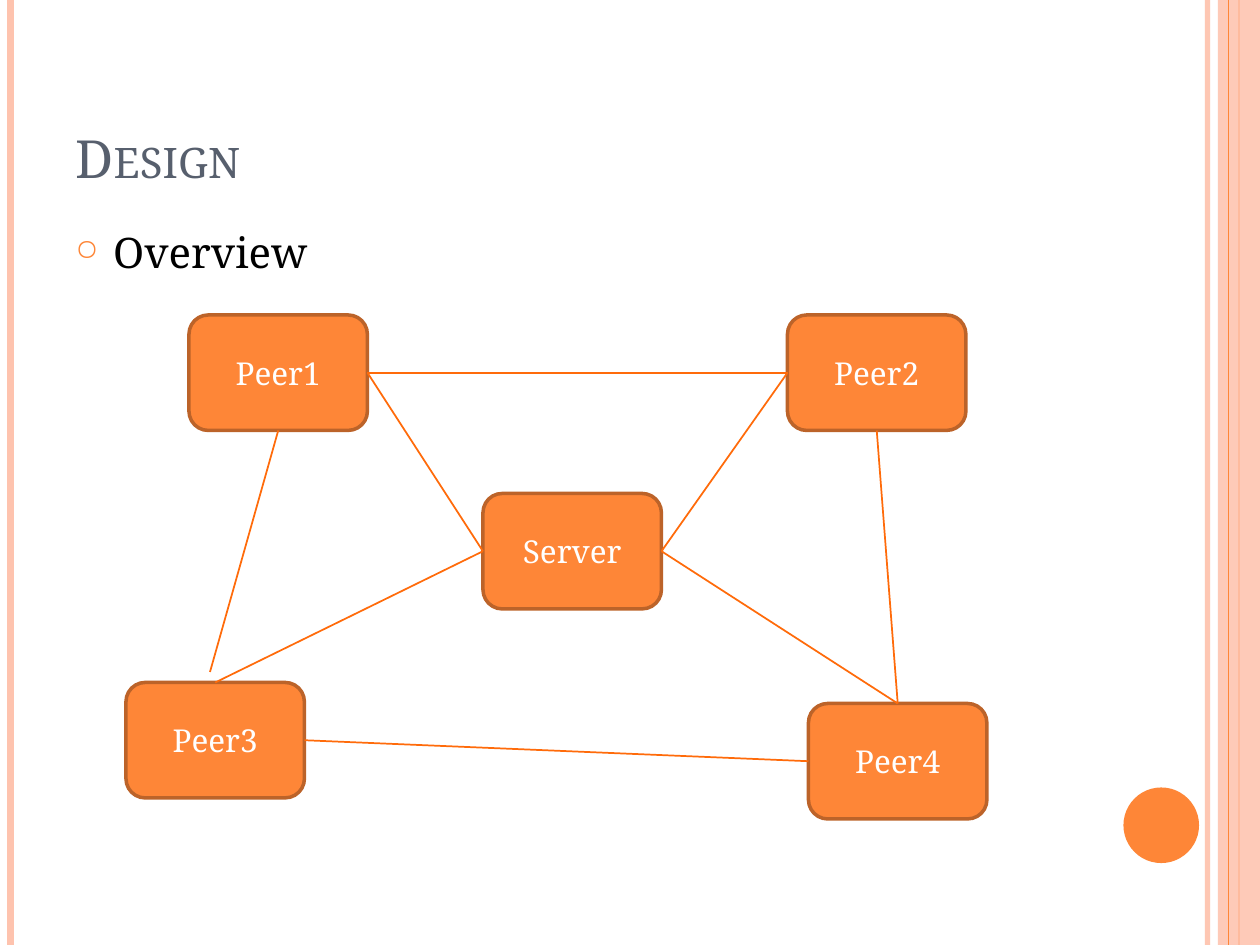
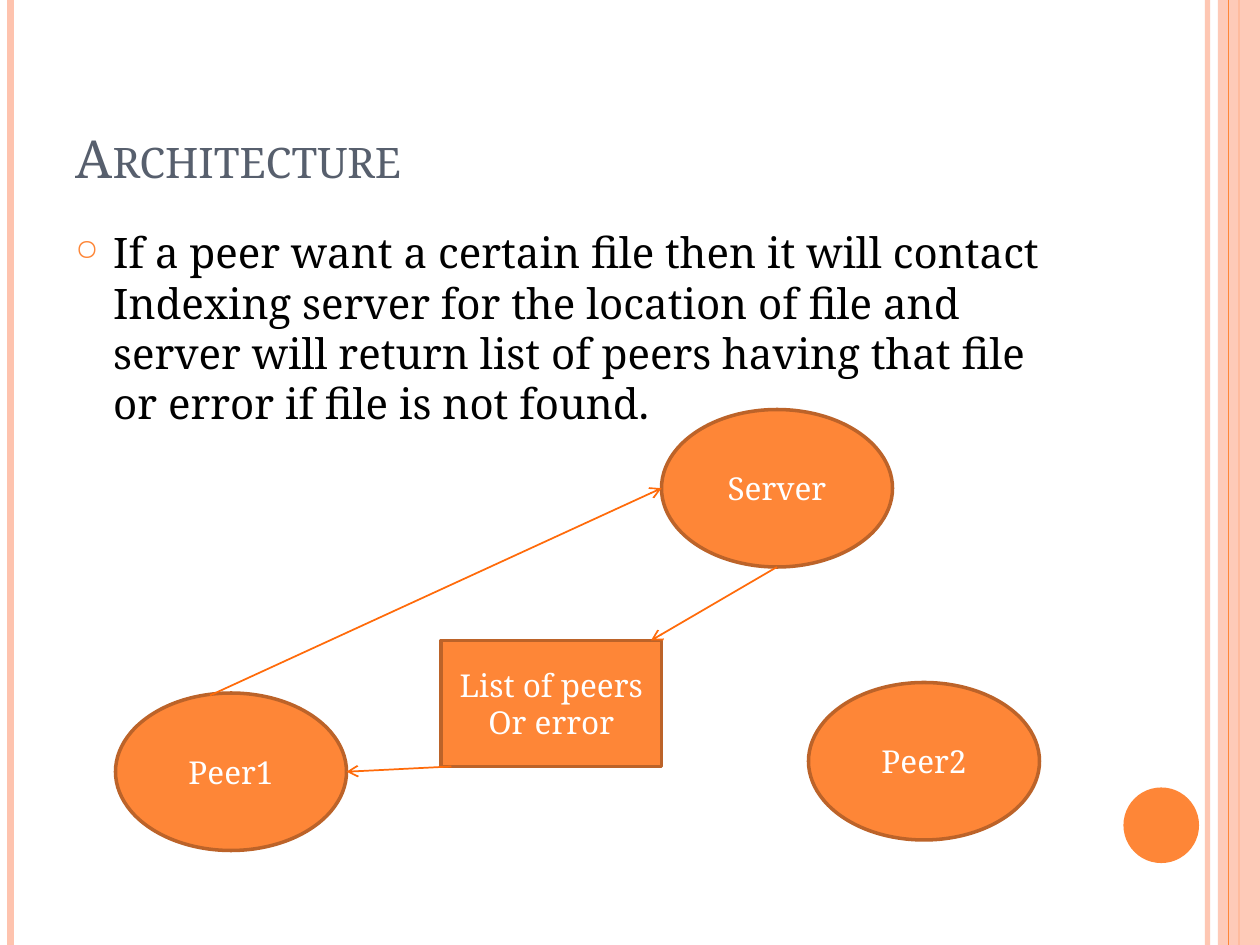
from dataclasses import dataclass

from lxml import etree
from pptx import Presentation
from pptx.dml.color import RGBColor
from pptx.enum import shapes, text
from pptx.oxml import ns
from pptx.util import Pt


@dataclass(frozen=True)
class Theme:
    font: str = "Noto Serif"
    accent: str = "FE8637"
    outline: str = "BC6329"
    link: str = "FF6B0A"
    band: str = "FEC3AE"
    title: str = "575F6D"
    body: str = "000000"
    label: str = "FFFFFF"
    title_size: int = 30
    body_size: int = 24
    label_size: int = 18


@dataclass(frozen=True)
class Box:
    left: float
    top: float
    width: float
    height: float

    def inner(self, left, top, width, height):
        """A box placed relative to this one."""
        return Box(self.left + left, self.top + top, width, height)

    def at(self, across, down):
        """The point at the given fractions of width and height."""
        return self.left + across * self.width, self.top + down * self.height

    def lengths(self):
        return Pt(self.left), Pt(self.top), Pt(self.width), Pt(self.height)


THEME = Theme()
PAGE = Box(0, 0, 720, 540)
TITLE = Box(36, 21.6, 588, 90)
BODY = Box(36, 126, 588, 384)
TOP, LEFT, BOTTOM, RIGHT = range(4)
SIDES = {TOP: (0.5, 0), LEFT: (0, 0.5), BOTTOM: (0.5, 1), RIGHT: (1, 0.5)}
SHAPE = shapes.MSO_SHAPE


# Basic parts

def add_xml(parent, tag, **attributes):
    return etree.SubElement(parent, ns.qn(tag), attributes)


def set_alpha(element, percent):
    colour = next(element.iter(ns.qn("a:srgbClr")))
    add_xml(colour, "a:alpha", val=str(percent * 1000))


def style_font(paragraph, size, colour):
    font = paragraph.font
    font.name, font.size = THEME.font, Pt(size)
    font.color.rgb = RGBColor.from_string(colour)


def add_line(slide, start, end, colour, width, arrow=False, alpha=None):
    connector = slide.shapes.add_connector(
        shapes.MSO_CONNECTOR.STRAIGHT, *(Pt(value) for value in (*start, *end)))
    connector.line.color.rgb = RGBColor.from_string(colour)
    connector.line.width = Pt(width)
    properties = connector._element.spPr
    line = properties.find(ns.qn("a:ln"))
    if alpha:
        set_alpha(line, alpha)
    if arrow:
        add_xml(line, "a:tailEnd", type="arrow")
    add_xml(properties, "a:effectLst")
    return connector


def add_block(slide, kind, box, colour):
    shape = slide.shapes.add_shape(kind, *box.lengths())
    shape.shadow.inherit = False
    shape.fill.solid()
    shape.fill.fore_color.rgb = RGBColor.from_string(colour)
    shape.line.fill.background()
    return shape


def add_node(slide, kind, box, label):
    shape = add_block(slide, kind, box, THEME.accent)
    shape.line.color.rgb = RGBColor.from_string(THEME.outline)
    shape.line.width = Pt(2)
    frame = shape.text_frame
    frame.word_wrap = True
    frame.vertical_anchor = text.MSO_ANCHOR.MIDDLE
    paragraph = frame.paragraphs[0]
    paragraph.text = label
    paragraph.alignment = text.PP_ALIGN.CENTER
    style_font(paragraph, THEME.label_size, THEME.label)
    return shape


# Regions shared by the slides

def add_bands(slide, box):
    def stripe(x, colour, width, alpha=None):
        start, end = (box.left + x, box.top), (box.left + x, box.top + box.height)
        add_line(slide, start, end, colour, width, alpha=alpha)

    stripe(690, THEME.band, 3, alpha=93)
    stripe(6, THEME.band, 4.5)
    stripe(708, THEME.accent, 1.5)
    band = add_block(slide, SHAPE.RECTANGLE, box.inner(696, 0, 24, box.height), THEME.band)
    set_alpha(band._element.spPr, 87)
    stripe(702, THEME.accent, 0.75)
    add_block(slide, SHAPE.OVAL, box.inner(642, 450, 43.2, 43.2), THEME.accent)


def add_title(slide, box, title):
    placeholder = slide.shapes.title
    placeholder.left, placeholder.top, placeholder.width, placeholder.height = box.lengths()
    frame = placeholder.text_frame
    frame.auto_size = text.MSO_AUTO_SIZE.NONE
    frame.vertical_anchor = text.MSO_ANCHOR.BOTTOM
    paragraph = frame.paragraphs[0]
    paragraph.text = title
    paragraph.alignment = text.PP_ALIGN.LEFT
    style_font(paragraph, THEME.title_size, THEME.title)
    paragraph._p.pPr.find(ns.qn("a:defRPr")).set("cap", "small")


def add_bullet(slide, box, sentence):
    frame = slide.shapes.add_textbox(*box.lengths()).text_frame
    frame.word_wrap = True
    paragraph = frame.paragraphs[0]
    paragraph.text = sentence
    paragraph.space_before = Pt(6)
    properties = paragraph._p.pPr
    properties.set("marL", str(Pt(21.6)))
    properties.set("indent", str(-Pt(21.6)))
    add_xml(add_xml(properties, "a:buClr"), "a:srgbClr", val=THEME.accent)
    add_xml(properties, "a:buSzPct", val="70000")
    add_xml(properties, "a:buChar", char="○")
    style_font(paragraph, THEME.body_size, THEME.body)


def add_slide(presentation, title, sentence):
    slide = presentation.slides.add_slide(presentation.slide_layouts[5])
    add_bands(slide, PAGE)
    add_title(slide, TITLE, title)
    add_bullet(slide, BODY, sentence)
    return slide


# Diagrams

def add_peer_network(slide, box):
    corners = {"Peer1": (36, 0), "Peer3": (0, 210), "Server": (204, 102),
               "Peer2": (378, 0), "Peer4": (390, 222)}
    boxes = {name: box.inner(*corner, 102, 66) for name, corner in corners.items()}
    nodes = {name: add_node(slide, SHAPE.ROUNDED_RECTANGLE, place, name)
             for name, place in boxes.items()}
    links = [("Server", RIGHT, "Peer2", LEFT), ("Server", LEFT, "Peer1", RIGHT),
             ("Server", RIGHT, "Peer4", TOP), ("Peer4", TOP, "Peer2", BOTTOM),
             ("Peer3", TOP, "Server", LEFT), ("Peer3", RIGHT, "Peer4", LEFT),
             ("Peer1", RIGHT, "Peer2", LEFT)]
    for first, first_side, second, second_side in links:
        connector = add_line(slide, boxes[first].at(*SIDES[first_side]),
                             boxes[second].at(*SIDES[second_side]), THEME.link, 1)
        connector.begin_connect(nodes[first], first_side)
        connector.end_connect(nodes[second], second_side)
    # This link stops just above Peer3
    loose = add_line(slide, (box.left + 48, box.top + 204),
                     boxes["Peer1"].at(*SIDES[BOTTOM]), THEME.link, 1)
    loose.end_connect(nodes["Peer1"], BOTTOM)


def add_lookup_flow(slide, box):
    server, peer2, peer1 = (box.inner(left, top, 132, 90)
                            for left, top in ((312, 0), (396, 156), (0, 162)))
    reply = box.inner(186, 132, 126, 72)
    for place, name in ((server, "Server"), (peer2, "Peer2"), (peer1, "Peer1")):
        add_node(slide, SHAPE.OVAL, place, name)
    add_node(slide, SHAPE.RECTANGLE, reply, "List of peers Or error")
    # Request, then the reply back to the peer
    arrows = [((box.left + 54, box.top + 163.4), server.at(*SIDES[LEFT])),
              (server.at(*SIDES[BOTTOM]), (reply.left + 120, reply.top)),
              ((reply.left + 6, reply.top + reply.height), peer1.at(*SIDES[RIGHT]))]
    for start, end in arrows:
        add_line(slide, start, end, THEME.link, 1, arrow=True)


presentation = Presentation()
presentation.slide_width, presentation.slide_height = Pt(PAGE.width), Pt(PAGE.height)

design = add_slide(presentation, "Design", "Overview")
add_peer_network(design, Box(72, 180, 492, 288))

architecture = add_slide(
    presentation, "Architecture",
    "If a peer want a certain file then it will contact Indexing server for the "
    "location of file and server will return list of peers having that file or "
    "error if file is not found.")
add_lookup_flow(architecture, Box(66, 234, 528, 252))

presentation.save("out.pptx")
